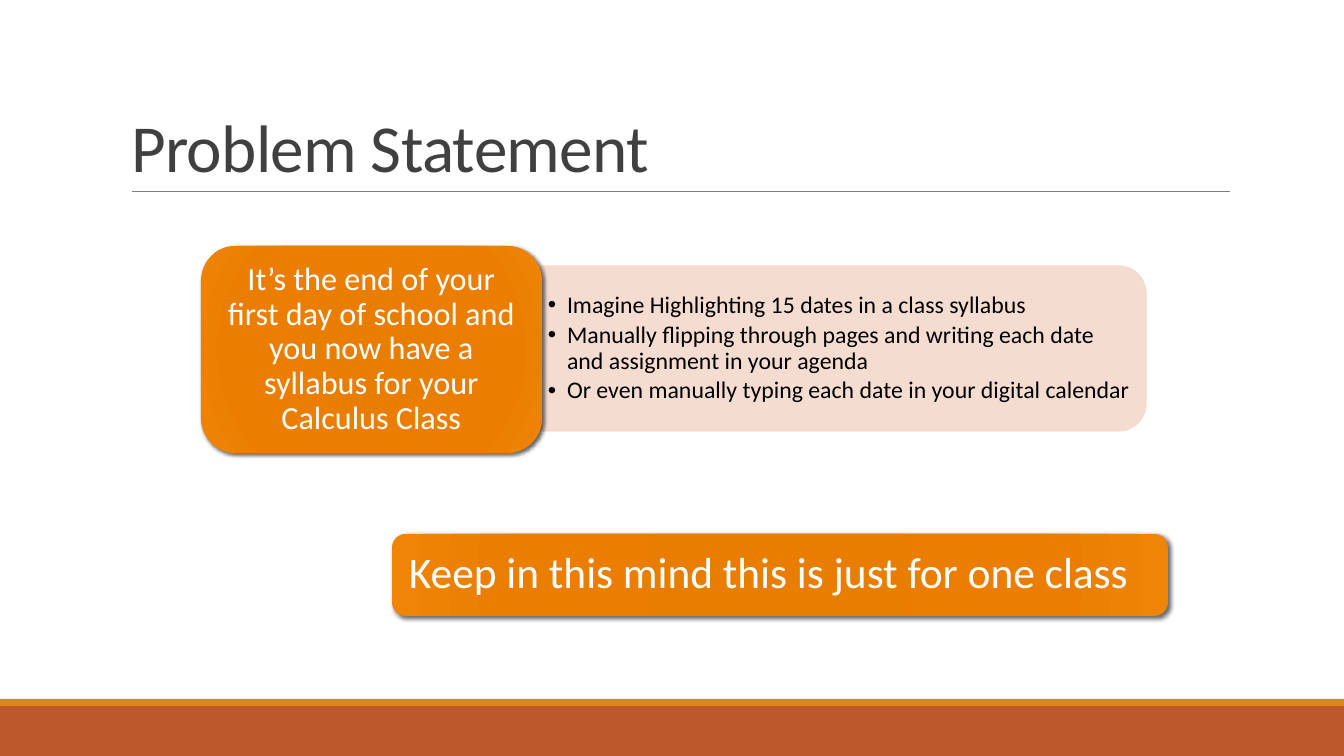
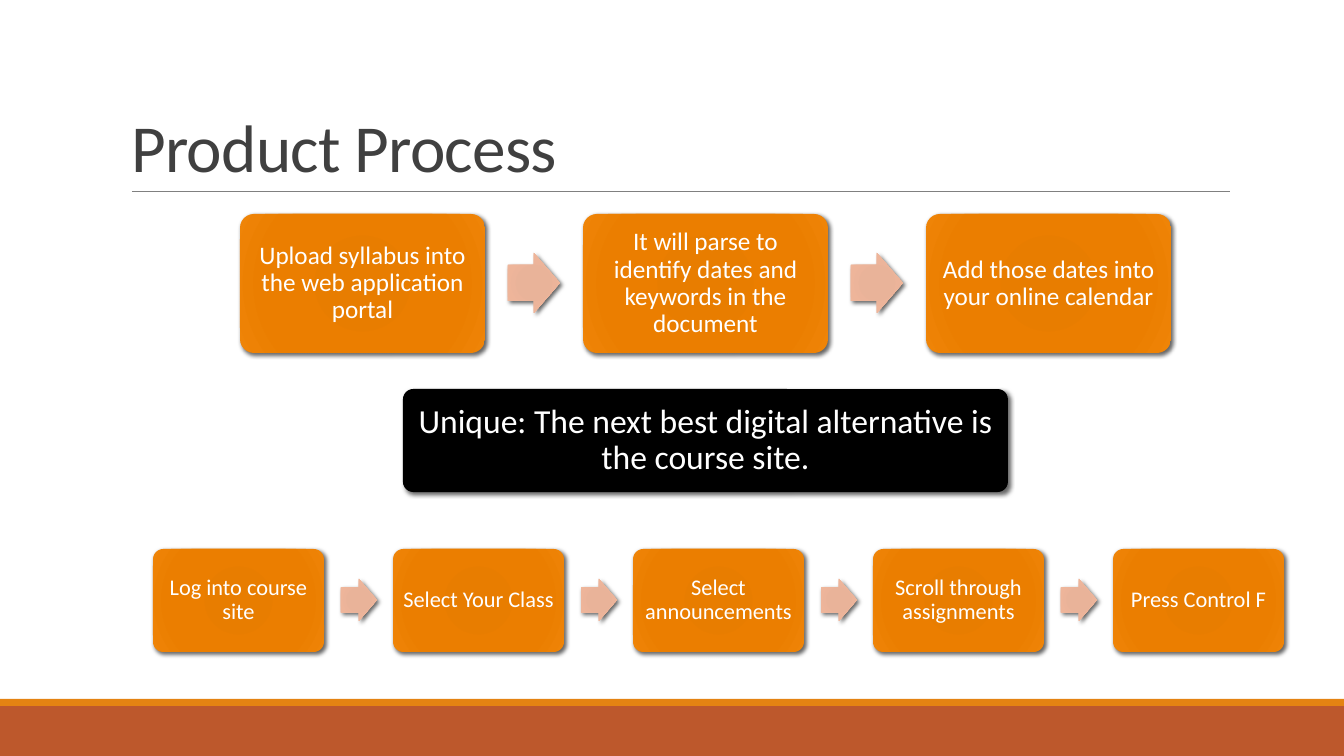
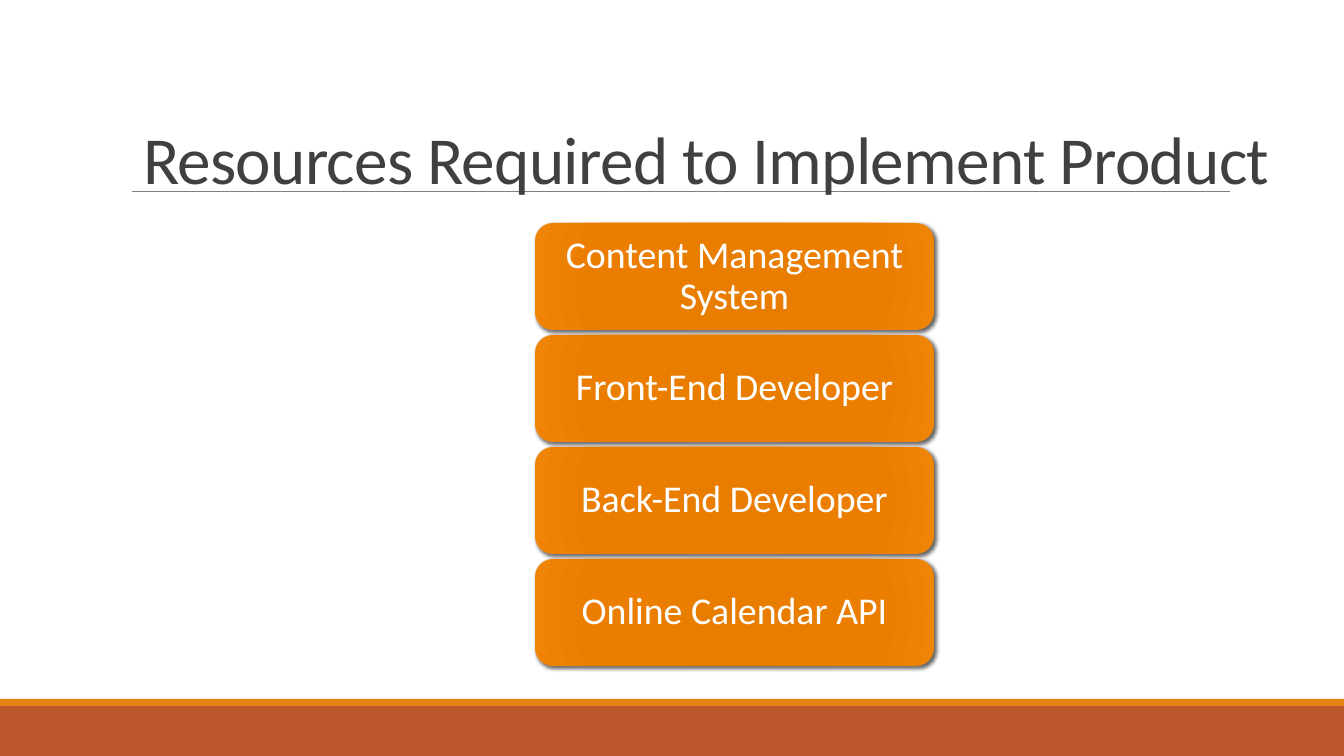
from lxml import etree
from pptx import Presentation
from pptx import util as u
from pptx.dml.color import RGBColor
from pptx.enum import shapes as kinds, text
from pptx.oxml import parse_xml
from pptx.oxml.ns import nsdecls, qn

PX = 9071  # EMU in one px; the slide is 1344 x 756 px
FONT = "Calibri"
WHITE, BLACK, INK, RULE = "FFFFFF", "000000", "404040", "808080"
RUST, AMBER, BLUSH = "BD582C", "E48312", "F5D9CC"
ORANGE = ("E57B00", "E87D00", "EB7E00", "EF8407")
PEACH = ("E8B196", "E9B399", "EEB59A", "F3C0A8")
GRADIENT_STOPS = (0, 34, 70, 100)
rgb = RGBColor.from_string
PRESET = kinds.MSO_SHAPE


def write(frame, *lines, size, color=WHITE, align=text.PP_ALIGN.CENTER,
          inset=(7, 7), bullet=None, gap=0):
    """Fill a text frame; inset is (side, top and bottom) in px."""
    frame.word_wrap = True
    frame.auto_size = text.MSO_AUTO_SIZE.NONE
    frame.vertical_anchor = text.MSO_ANCHOR.MIDDLE
    frame.margin_left = frame.margin_right = inset[0] * PX
    frame.margin_top = frame.margin_bottom = inset[1] * PX
    for i, line in enumerate(lines):
        par = frame.paragraphs[0] if i == 0 else frame.add_paragraph()
        par.text = line
        par.alignment = align
        par.line_spacing = 0.9
        par.space_before = u.Pt(0)
        par.space_after = u.Pt(gap)
        if bullet:
            props = par._p.get_or_add_pPr()
            props.set("marL", str(19 * PX))
            props.set("indent", str(-19 * PX))
            etree.SubElement(props, qn("a:buChar")).set("char", bullet)
        par.font.size = u.Pt(size)
        par.font.name = FONT
        par.font.color.rgb = rgb(color)


def add_panel(slide, preset, box, fill, shadow=True, adjust=()):
    """Add a borderless shape; fill is one colour or the four of a radial gradient."""
    panel = slide.shapes.add_shape(preset, *(n * PX for n in box))
    for i, value in enumerate(adjust):
        panel.adjustments[i] = value
    panel.line.fill.background()
    panel.shadow.inherit = False
    props = panel._element.spPr
    if isinstance(fill, str):
        panel.fill.solid()
        panel.fill.fore_color.rgb = rgb(fill)
    else:
        stops = "".join(f'<a:gs pos="{pos * 1000}"><a:srgbClr val="{c}"/></a:gs>'
                        for pos, c in zip(GRADIENT_STOPS, fill))
        props.find(qn("a:prstGeom")).addnext(parse_xml(
            f'<a:gradFill {nsdecls("a")} rotWithShape="1"><a:gsLst>{stops}</a:gsLst>'
            '<a:path path="circle"><a:fillToRect l="100000" t="100000" r="100000" '
            'b="100000"/></a:path></a:gradFill>'))
    if shadow:
        props.find(qn("a:effectLst")).append(parse_xml(
            f'<a:outerShdw {nsdecls("a")} blurRad="38100" dist="25400" dir="2700000" '
            'algn="ctr" rotWithShape="0"><a:srgbClr val="000000">'
            '<a:alpha val="60000"/></a:srgbClr></a:outerShdw>'))
    return panel


prs = Presentation()
prs.slide_width, prs.slide_height = 1344 * PX, 756 * PX
master = prs.slide_master

# Shared title style
heading = master.placeholders[0]
heading.left, heading.top, heading.width, heading.height = (
    n * PX for n in (121, 31, 1109, 160))
heading.text_frame.auto_size = text.MSO_AUTO_SIZE.NONE
heading.text_frame.vertical_anchor = text.MSO_ANCHOR.BOTTOM
title_style = master.element.find(".//" + qn("p:titleStyle"))
title_style.replace(title_style[0], parse_xml(
    f'<a:lvl1pPr {nsdecls("a")} algn="l"><a:lnSpc><a:spcPct val="85000"/></a:lnSpc>'
    '<a:spcBef><a:spcPct val="0"/></a:spcBef><a:buNone/>'
    f'<a:defRPr sz="4800" spc="-50"><a:solidFill><a:srgbClr val="{INK}"/></a:solidFill>'
    f'<a:latin typeface="{FONT}"/></a:defRPr></a:lvl1pPr>'))

problem = prs.slides.add_slide(prs.slide_layouts[1])
process = prs.slides.add_slide(prs.slide_layouts[5])
resources = prs.slides.add_slide(prs.slide_layouts[5])

# Shared bands and title rule, moved to the master
footer = add_panel(problem, PRESET.RECTANGLE, (0, 706, 1344, 50), RUST, shadow=False)
stripe = add_panel(problem, PRESET.RECTANGLE, (0, 699, 1344, 7), AMBER, shadow=False)
title_rule = problem.shapes.add_connector(
    kinds.MSO_CONNECTOR.STRAIGHT, 132 * PX, 191 * PX, 1230 * PX, 191 * PX)
title_rule.line.color.rgb = rgb(RULE)
title_rule.line.width = u.Pt(0.5)
etree.SubElement(title_rule._element.spPr, qn("a:effectLst"))
for number, part in enumerate((footer, stripe, title_rule), start=101):
    part._element.xpath(".//p:cNvPr")[0].set("id", str(number))
    master.shapes._spTree.append(part._element)

# Problem Statement
problem.shapes.title.text = "Problem Statement"
backdrop = add_panel(problem, PRESET.ROUND_2_SAME_RECTANGLE, (761, 46, 165, 605),
                     BLUSH, shadow=False)
backdrop.rotation = 90
backdrop.line.color.rgb = rgb(BLUSH)
backdrop.line.width = u.Pt(1)
for tint in backdrop._element.spPr.iter(qn("a:srgbClr")):
    etree.SubElement(tint, qn("a:alpha")).set("val", "90000")

chores = problem.placeholders[1]
chores.left, chores.top, chores.width, chores.height = (
    n * PX for n in (541, 274, 597, 149))
write(chores.text_frame,
      "Imagine Highlighting 15 dates in a class syllabus",
      "Manually flipping through pages and writing each date and assignment in your agenda",
      "Or even manually typing each date in your digital calendar",
      size=17, color=BLACK, align=text.PP_ALIGN.LEFT, inset=(7, 4), bullet="•", gap=3)
backdrop._element.addnext(chores._element)

scenario = add_panel(problem, PRESET.ROUNDED_RECTANGLE, (201, 246, 341, 207), ORANGE)
write(scenario.text_frame,
      "It’s the end of your first day of school and you now have a syllabus "
      "for your Calculus Class", size=23, inset=(10, 5))
reminder = add_panel(problem, PRESET.ROUNDED_RECTANGLE, (392, 534, 776, 82), ORANGE)
write(reminder.text_frame, "Keep in this mind this is just for one class",
      size=31, align=text.PP_ALIGN.LEFT, inset=(13, 13))

# Product Process: left, top, width, height, step, arrow size, text size, steps
process.shapes.title.text = "Product Process"
FLOWS = [
    (240, 214, 245, 139, 343, (52, 60), 18,
     ["Upload syllabus into the web application portal",
      "It will parse to identify dates and keywords in the document",
      "Add those dates into your online calendar"]),
    (153, 549, 171, 103, 240, (36, 42), 16,
     ["Log into course site", "Select Your Class", "Select announcements",
      "Scroll through assignments", "Press Control F"]),
]
for left, top, width, height, pitch, (arrow_w, arrow_h), size, steps in FLOWS:
    for i, step in enumerate(steps):
        x = left + i * pitch
        if i:
            add_panel(process, PRESET.RIGHT_ARROW,
                      (x - (pitch - width + arrow_w) // 2, top + (height - arrow_h) // 2,
                       arrow_w, arrow_h), PEACH, adjust=(0.6, 0.5))
        card = add_panel(process, PRESET.ROUNDED_RECTANGLE, (x, top, width, height),
                         ORANGE, adjust=(0.1,))
        write(card.text_frame, step, size=size)

unique = add_panel(process, PRESET.ROUNDED_RECTANGLE, (403, 389, 605, 103),
                   BLACK, adjust=(0.1,))
write(unique.text_frame, "Unique: The next best digital alternative is the course site.",
      size=24, inset=(10, 10))

# Resources Required
long_title = resources.shapes.title
long_title.text = "Resources Required to Implement Product"
long_title.left, long_title.top, long_title.width, long_title.height = (
    n * PX for n in (133, 43, 1154, 160))
NEEDS = ["Content Management System", "Front-End Developer",
         "Back-End Developer", "Online Calendar API"]
for i, need in enumerate(NEEDS):
    card = add_panel(resources, PRESET.ROUNDED_RECTANGLE,
                     (535, 223 + i * 112, 399, 107), ORANGE)
    write(card.text_frame, need, size=27, inset=(11, 6))

prs.save("out.pptx")
